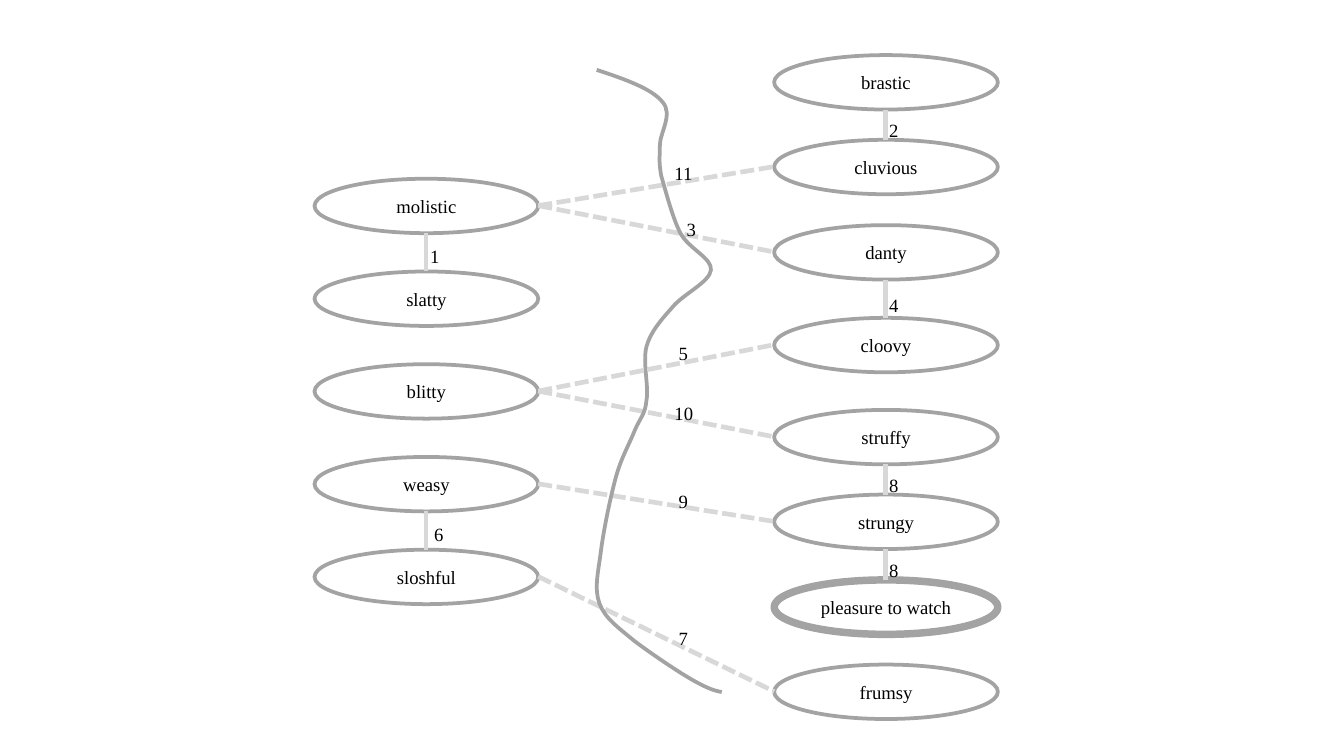
"""Build a map of invented words joined by numbered links across a wavy divide."""
from dataclasses import dataclass
from typing import Optional

from lxml.etree import SubElement
from pptx import Presentation
from pptx.dml.color import RGBColor
from pptx.enum.dml import MSO_LINE
from pptx.enum.shapes import MSO_CONNECTOR, MSO_SHAPE
from pptx.enum.text import MSO_ANCHOR as Anchor, PP_ALIGN as Align
from pptx.oxml.ns import qn
from pptx.slide import Slide
from pptx.text.text import TextFrame
from pptx.util import Pt

PX = 4572
SLIDE_WIDTH, SLIDE_HEIGHT = 2000, 1125
WORD_WIDTH, WORD_HEIGHT = 333, 81
LEFT_COLUMN, RIGHT_COLUMN = 468, 1152


@dataclass(frozen=True)
class Theme:
    font: str = "Times New Roman"
    size: Pt = Pt(10)
    ink: RGBColor = RGBColor(0x00, 0x00, 0x00)
    outline: RGBColor = RGBColor(0xA3, 0xA3, 0xA3)
    link: RGBColor = RGBColor(0xD8, 0xD8, 0xD8)
    thin: Pt = Pt(2)
    thick: Pt = Pt(4)
    link_width: Pt = Pt(2.5)


@dataclass(frozen=True)
class Word:
    text: str
    left: int
    top: int
    highlighted: bool = False

    @property
    def center(self) -> int:
        return self.left + WORD_WIDTH // 2

    @property
    def middle(self) -> int:
        return self.top + WORD_HEIGHT // 2

    @property
    def right(self) -> int:
        return self.left + WORD_WIDTH

    @property
    def bottom(self) -> int:
        return self.top + WORD_HEIGHT


@dataclass(frozen=True)
class Link:
    start: str
    end: str
    number: str
    label_left: int
    label_top: int


THEME = Theme()
LEFT_WORDS = ("molistic", "slatty", "blitty", "weasy", "sloshful")
RIGHT_WORDS = (("brastic", 82), ("cluvious", 208), ("danty", 335), ("cloovy", 473),
               ("struffy", 610), ("strungy", 736), ("pleasure to watch", 863), ("frumsy", 989))
WORDS = [Word(text, LEFT_COLUMN, 266 + 138 * row) for row, text in enumerate(LEFT_WORDS)]
WORDS += [Word(text, RIGHT_COLUMN, top, text == "pleasure to watch") for text, top in RIGHT_WORDS]

LINKS = (
    Link("molistic", "cluvious", "11", 984, 231),
    Link("molistic", "danty", "3", 1002, 314),
    Link("blitty", "cloovy", "5", 990, 499),
    Link("blitty", "struffy", "10", 984, 588),
    Link("weasy", "strungy", "9", 990, 719),
    Link("sloshful", "frumsy", "7", 990, 923),
    Link("brastic", "cluvious", "2", 1318, 167),
    Link("struffy", "strungy", "8", 1318, 696),
    Link("danty", "cloovy", "4", 1318, 427),
    Link("weasy", "sloshful", "6", 641, 768),
    Link("molistic", "slatty", "1", 635, 354),
    Link("strungy", "pleasure to watch", "8", 1318, 822),
)

DIVIDE_START = (888, 104)
DIVIDE_CURVES = (
    ((930, 118), (970, 132), (986, 152)),
    ((1002, 170), (982, 198), (982, 216)),
    ((982, 234), (980, 240), (984, 262)),
    ((990, 282), (1000, 322), (1012, 346)),
    ((1024, 370), (1060, 384), (1058, 402)),
    ((1056, 420), (1016, 438), (1000, 458)),
    ((984, 476), (968, 494), (962, 516)),
    ((956, 540), (966, 576), (962, 596)),
    ((960, 618), (952, 622), (944, 642)),
    ((936, 662), (924, 682), (916, 712)),
    ((908, 742), (898, 790), (894, 822)),
    ((890, 852), (884, 876), (892, 898)),
    ((900, 920), (920, 934), (944, 954)),
    ((968, 972), (1012, 1002), (1034, 1014)),
    ((1056, 1026), (1064, 1028), (1074, 1030)),
)


def write(frame: TextFrame, text: str, align: Optional[Align] = None) -> None:
    """Put one styled paragraph into a text frame."""
    paragraph = frame.paragraphs[0]
    paragraph.text = text
    paragraph.alignment = align
    paragraph.font.name = THEME.font
    paragraph.font.size = THEME.size
    paragraph.font.color.rgb = THEME.ink


def draw_word(slide: Slide, word: Word) -> None:
    """Draw a word inside its outlined ellipse."""
    bubble = slide.shapes.add_shape(MSO_SHAPE.OVAL, word.left * PX, word.top * PX,
                                    WORD_WIDTH * PX, WORD_HEIGHT * PX)
    bubble.shadow.inherit = False
    bubble.fill.background()
    bubble.line.color.rgb = THEME.outline
    bubble.line.width = THEME.thick if word.highlighted else THEME.thin
    bubble.text_frame.word_wrap = False
    bubble.text_frame.vertical_anchor = Anchor.MIDDLE
    write(bubble.text_frame, word.text, Align.CENTER)


def draw_link(slide: Slide, start: Word, end: Word) -> None:
    """Join two words, with dashes when the link crosses the divide."""
    crossing = start.left != end.left
    if crossing:
        ends = (start.right, start.middle, end.left, end.middle)
    else:
        ends = (start.center, start.bottom, end.center, end.top)
    link = slide.shapes.add_connector(MSO_CONNECTOR.STRAIGHT, *(value * PX for value in ends))
    link.line.color.rgb = THEME.link
    link.line.width = THEME.link_width
    if crossing:
        link.line.dash_style = MSO_LINE.SQUARE_DOT
    SubElement(link._element.spPr, qn("a:effectLst"))


def draw_number(slide: Slide, link: Link, crossing: bool) -> None:
    """Write the number of a link beside it."""
    width, inset = (84, 20) if crossing else (24, 5)
    number = slide.shapes.add_textbox(link.label_left * PX, link.label_top * PX, width * PX, 50 * PX)
    frame = number.text_frame
    frame.word_wrap = True
    frame.margin_left = frame.margin_right = inset * PX
    write(frame, link.number)


def draw_divide(slide: Slide) -> None:
    """Draw the wavy divide, turning each three segments into one cubic curve."""
    builder = slide.shapes.build_freeform(*DIVIDE_START, scale=PX)
    builder.add_line_segments([point for curve in DIVIDE_CURVES for point in curve], close=False)
    divide = builder.convert_to_shape()
    divide.shadow.inherit = False
    divide.fill.background()
    divide.line.color.rgb = THEME.outline
    divide.line.width = THEME.thin
    outline = divide._element.find(".//" + qn("a:path"))
    segments = outline.findall(qn("a:lnTo"))
    for first in range(0, len(segments), 3):
        curve = SubElement(outline, qn("a:cubicBezTo"))
        for segment in segments[first:first + 3]:
            curve.append(segment[0])
            outline.remove(segment)


def main() -> None:
    """Build and save the slide."""
    deck = Presentation()
    deck.slide_width, deck.slide_height = SLIDE_WIDTH * PX, SLIDE_HEIGHT * PX
    slide = deck.slides.add_slide(deck.slide_layouts[6])
    by_text = {word.text: word for word in WORDS}
    for word in WORDS:
        draw_word(slide, word)
    for link in LINKS:
        draw_link(slide, by_text[link.start], by_text[link.end])
    for link in LINKS:
        draw_number(slide, link, by_text[link.start].left != by_text[link.end].left)
    draw_divide(slide)
    deck.save("out.pptx")


if __name__ == "__main__":
    main()
